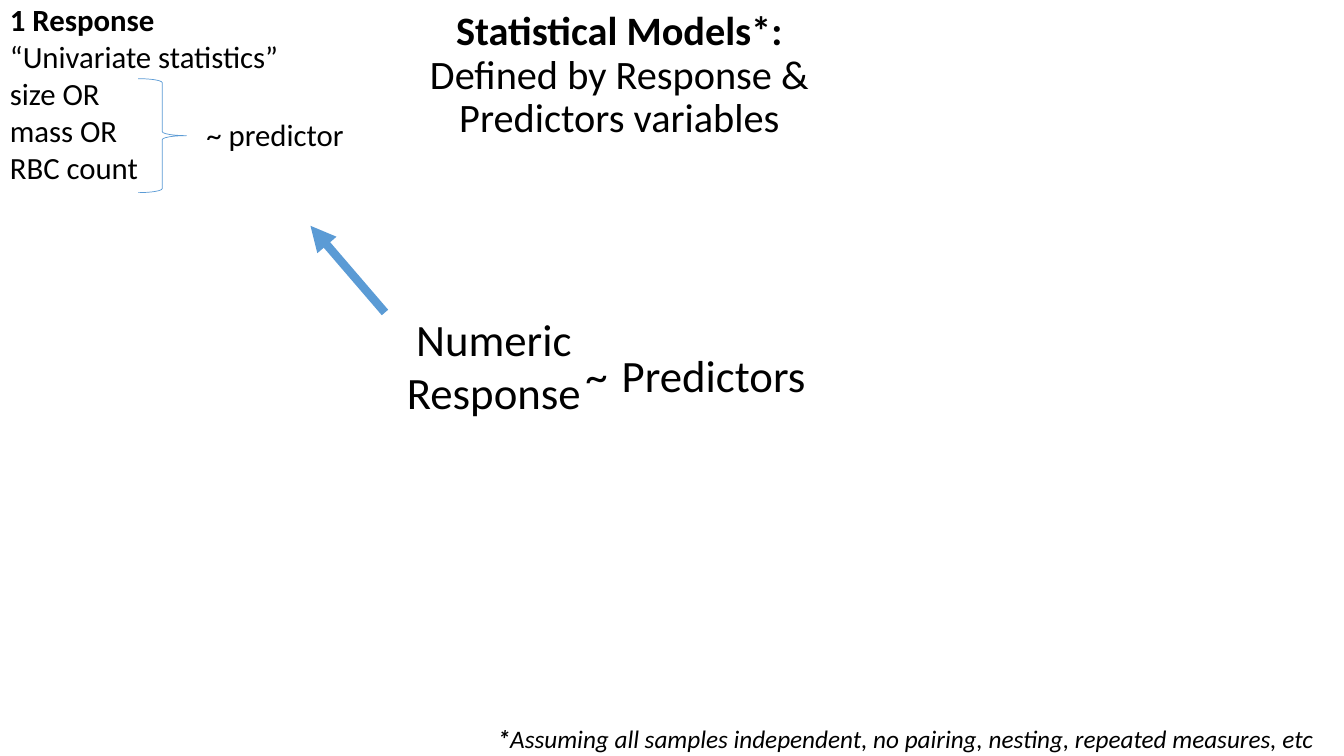
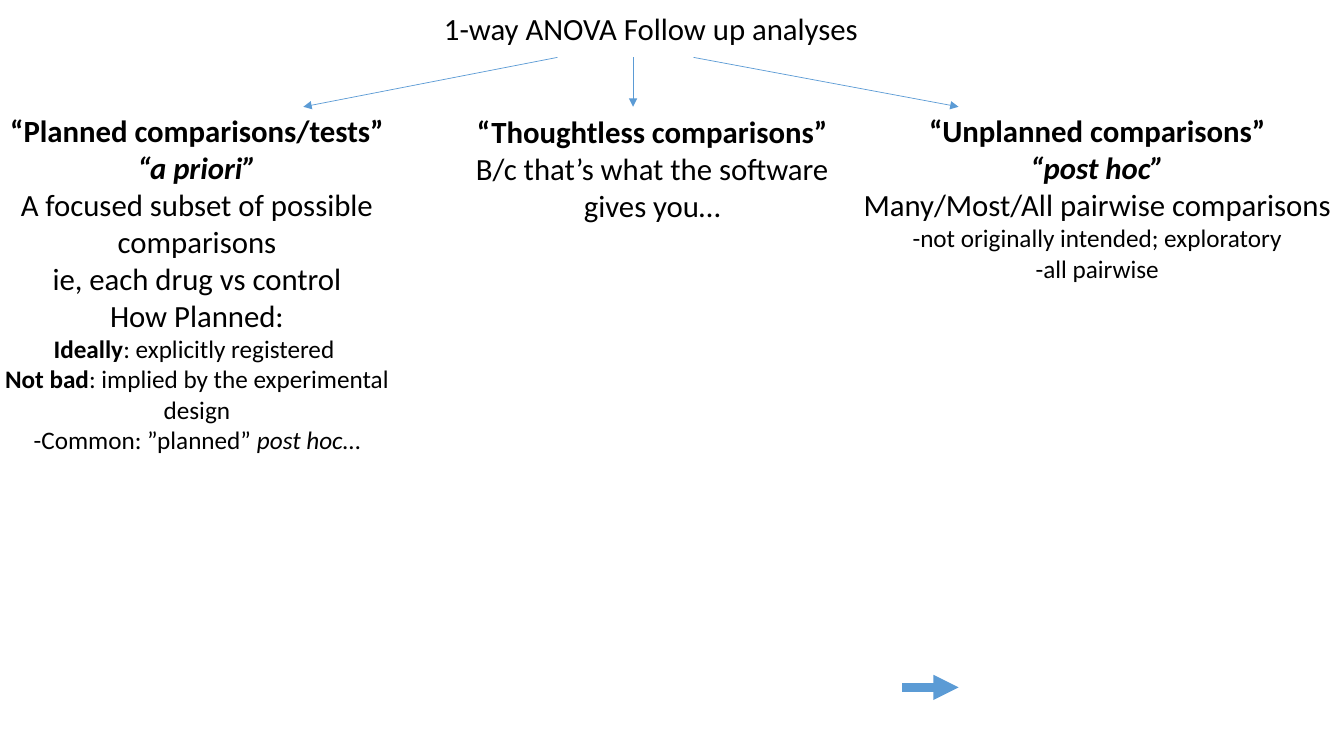
import pptx
import pptx.util
import pptx.dml.color
import pptx.enum.shapes
import pptx.enum.text
import pptx.oxml

Pt = pptx.util.Pt
Align = pptx.enum.text.PP_ALIGN
Anchor = pptx.enum.text.MSO_ANCHOR


def color(hex_value):
    return pptx.dml.color.RGBColor.from_string(hex_value)


class Deck:
    FONT = "Calibri"
    INK = "000000"
    ACCENT = "5B9BD5"
    THIN, THICK = 0.5, 6
    SMALL, BODY, TITLE, LARGE = 18, 22, 28.8, 32

    def __init__(self):
        self.deck = pptx.Presentation()
        self.deck.slide_width = Pt(960)
        self.deck.slide_height = Pt(540)
        self.page = None

    def add_page(self):
        self.page = self.deck.slides.add_slide(self.deck.slide_layouts[5])

    def fill_text(self, shape, paragraphs, size, align, spacing=1.0):
        frame = shape.text_frame
        frame.word_wrap = True
        frame.auto_size = pptx.enum.text.MSO_AUTO_SIZE.NONE
        for index, (spans, *own_size) in enumerate(paragraphs):
            para = frame.add_paragraph() if index else frame.paragraphs[0]
            para.alignment = align
            para.line_spacing = spacing
            para.font.name = self.FONT
            para.font.size = Pt(own_size[0] if own_size else size)
            para.font.color.rgb = color(self.INK)
            styles = {style for _, style in spans}
            shared = styles.pop() if len(styles) == 1 else None
            if shared is not None:
                self.set_style(para.font, shared)
            for text, style in spans:
                if text == "\n":
                    para.add_line_break()
                    continue
                span = para.add_run()
                span.text = text
                if shared is None:
                    self.set_style(span.font, style)

    def set_style(self, font, style):
        font.bold = "b" in style
        font.italic = "i" in style

    def add_title(self, left, top, width, height, paragraphs, size, spacing=1.0):
        title = self.page.shapes.title
        title.left, title.top = Pt(left), Pt(top)
        title.width, title.height = Pt(width), Pt(height)
        title.text_frame.vertical_anchor = Anchor.MIDDLE
        self.fill_text(title, paragraphs, size, Align.CENTER, spacing)

    def add_text(self, left, top, width, height, paragraphs, size=BODY, align=Align.CENTER):
        box = self.page.shapes.add_textbox(Pt(left), Pt(top), Pt(width), Pt(height))
        self.fill_text(box, paragraphs, size, align)
        return box

    def add_arrow(self, start, end, weight=THIN):
        arrow = self.page.shapes.add_connector(
            pptx.enum.shapes.MSO_CONNECTOR.STRAIGHT, *map(Pt, start + end))
        arrow.line.color.rgb = color(self.ACCENT)
        arrow.line.width = Pt(weight)
        namespace = pptx.oxml.ns.nsdecls("a")
        line = arrow.line._get_or_add_ln()
        line.append(pptx.oxml.parse_xml(f'<a:tailEnd {namespace} type="triangle"/>'))
        arrow._element.spPr.append(pptx.oxml.parse_xml(f"<a:effectLst {namespace}/>"))

    def add_brace(self, left, top, width, height):
        brace = self.page.shapes.add_shape(
            pptx.enum.shapes.MSO_SHAPE.RIGHT_BRACE, Pt(left), Pt(top), Pt(width), Pt(height))
        brace.shadow.inherit = False
        brace.fill.background()
        brace.line.color.rgb = color(self.ACCENT)
        brace.line.width = Pt(self.THIN)


def plain(*lines):
    return [([(line, "")],) for line in lines]


def build_models(deck):
    deck.add_page()
    deck.add_title(272.9, 2.2, 339.1, 104.4, [
        ([("Statistical Models*:", "b"), ("\n", "b"),
          ("Defined by Response & Predictors variables", "")],),
    ], deck.TITLE, 0.9)
    deck.add_arrow((275, 223.2), (221.8, 161.3), deck.THICK)
    deck.add_text(0, -2.9, 375.8, 140.4, [
        ([("1 Response", "b")],),
        *plain("“Univariate statistics”", "size OR", "mass OR", "RBC count"),
    ], align=Align.LEFT)
    formula = deck.add_text(409, 232.6, 175.7, 60.5,
                            [([("~", ""), (" ", ""), ("Predictors", "")],)], deck.LARGE)
    formula.text_frame.paragraphs[0].runs[1].font.size = Pt(44)
    deck.add_text(270.7, 218.9, 164.2, 85, plain("Numeric", "Response"), deck.LARGE)
    deck.add_brace(98.6, 56.2, 34.6, 81.4)
    deck.add_text(140.4, 79.2, 142.6, 33.8, plain("~ predictor"), align=Align.LEFT)
    deck.add_text(334, 513.4, 626, 26.6, [
        ([("*", "bi"),
          ("Assuming all samples independent, no pairing, nesting, repeated measures, etc", "i")],),
    ], deck.SMALL)


def build_follow_up(deck):
    deck.add_page()
    deck.add_title(300, 2.9, 330, 33.8, plain("1-way ANOVA Follow up analyses"), deck.BODY)
    for start_x, end_x in ((398.2, 216.7), (452.2, 452.2), (495.4, 684.7)):
        deck.add_arrow((start_x, 41), (end_x, 76.3))
    small = deck.SMALL
    deck.add_text(-5.8, 76.3, 293, 254.2, [
        ([("“Planned comparisons/tests”", "b")],),
        ([("“a priori”", "bi")],),
        *plain("A focused subset of possible comparisons", "ie, each drug vs control",
               "How Planned:"),
        ([("Ideally", "b"), (": explicitly registered ", "")], small),
        ([("Not bad", "b"), (": implied by the experimental design", "")], small),
        ([("-Common: ”planned” ", ""), ("post hoc", "i"), ("…", "")], small),
    ])
    deck.add_text(309.6, 77, 312.5, 87.1, [
        ([("“Thoughtless comparisons”", "b")],),
        *plain("B/c that’s what the software gives you…"),
    ])
    deck.add_text(607.7, 76.3, 352.1, 131, [
        ([("“Unplanned comparisons”", "b")],),
        ([("“post hoc”", "bi")],),
        *plain("Many/Most/All pairwise comparisons"),
        ([("-not originally intended; exploratory", "")], small),
        ([("-all pairwise", "")], small),
    ])
    deck.add_arrow((644.4, 491), (684.7, 491), deck.THICK)


def main():
    deck = Deck()
    build_models(deck)
    build_follow_up(deck)
    deck.deck.save("out.pptx")


if __name__ == "__main__":
    main()
